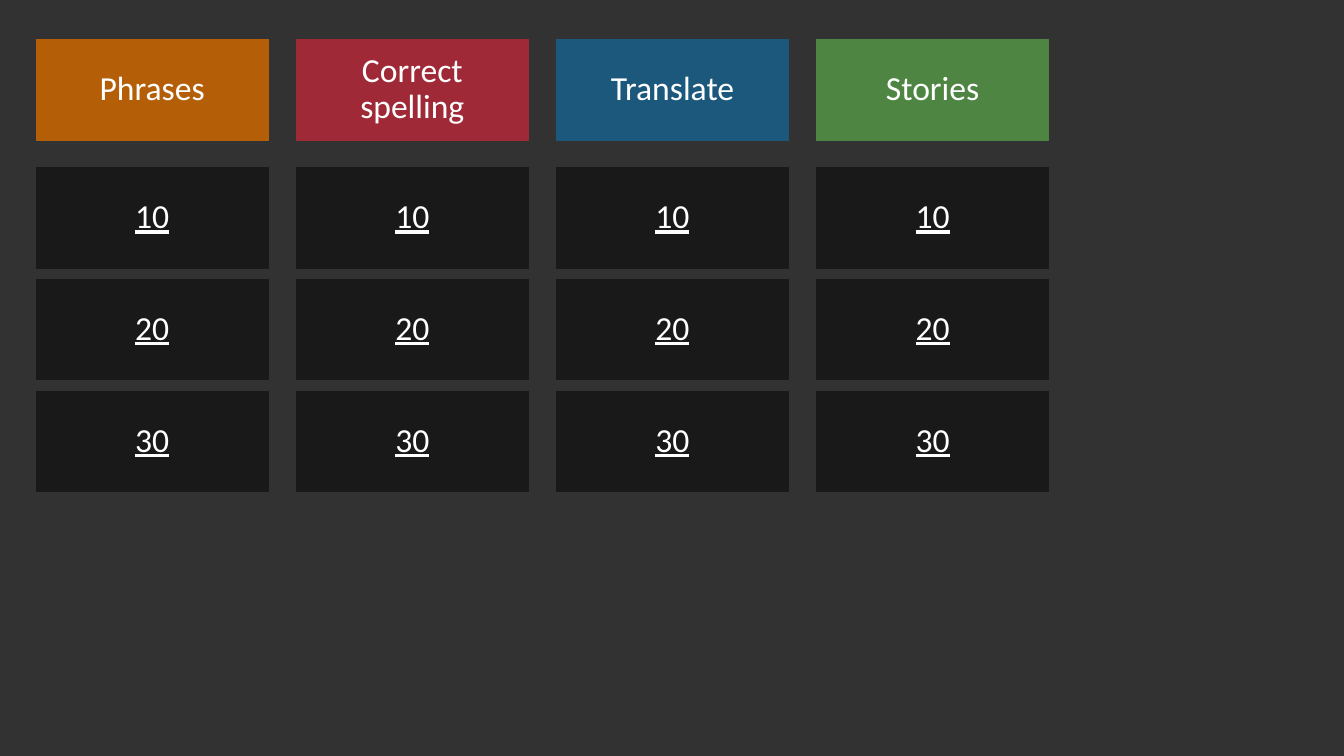
from pptx import Presentation
from pptx.dml.color import RGBColor
from pptx.enum.shapes import MSO_SHAPE as Preset
from pptx.enum.text import MSO_ANCHOR as Anchor, PP_ALIGN as Align
from pptx.util import Inches, Pt

BACKGROUND = "323232"
TILE_COLOR = "191919"
TEXT_COLOR = "FFFFFF"
CATEGORIES = [
    ("Phrases", "B45F07"),
    ("\u0421orrect spelling", "9F2936"),
    ("Translate", "1B587C"),
    ("Stories", "4E8542"),
]
POINTS = [10, 20, 30]
TILE_HEIGHT = 1
HEADER_GAP = 0.27
COLUMN_GAP = 0.28
ROW_GAP = 0.11


def paint(fill, color):
    fill.solid()
    fill.fore_color.rgb = RGBColor.from_string(color)


def add_tile(slide, box, text, color, underline=False):
    tile = slide.shapes.add_shape(Preset.RECTANGLE, *map(Inches, box))
    tile.shadow.inherit = False
    paint(tile.fill, color)
    paint(tile.line.fill, color)
    tile.line.width = Pt(0.75)
    frame = tile.text_frame
    frame.word_wrap = True
    frame.vertical_anchor = Anchor.MIDDLE
    frame.margin_left = frame.margin_right = Inches(0.15)
    paragraph = frame.paragraphs[0]
    paragraph.text = text
    paragraph.alignment = Align.CENTER
    paragraph.line_spacing = 0.9
    paragraph.space_before = Pt(10)
    font = paragraph.font
    font.name = "Calibri"
    font.size = Pt(24)
    font.underline = underline
    paint(font.fill, TEXT_COLOR)


def add_category(slide, box, title, color):
    left, top, width = box
    add_tile(slide, (left, top, width, TILE_HEIGHT), title, color)
    first_row = top + TILE_HEIGHT + HEADER_GAP
    for row, points in enumerate(POINTS):
        row_top = first_row + row * (TILE_HEIGHT + ROW_GAP)
        add_tile(slide, (left, row_top, width, TILE_HEIGHT), str(points), TILE_COLOR, True)


def add_board(slide, left, top, width):
    count = len(CATEGORIES)
    column_width = (width - (count - 1) * COLUMN_GAP) / count
    for column, (title, color) in enumerate(CATEGORIES):
        column_left = left + column * (column_width + COLUMN_GAP)
        add_category(slide, (column_left, top, column_width), title, color)


presentation = Presentation()
presentation.slide_width = Inches(13.33)
presentation.slide_height = Inches(7.5)
slide = presentation.slides.add_slide(presentation.slide_layouts[6])
paint(slide.background.fill, BACKGROUND)
add_board(slide, left=0.36, top=0.39, width=10.04)
presentation.save("out.pptx")
